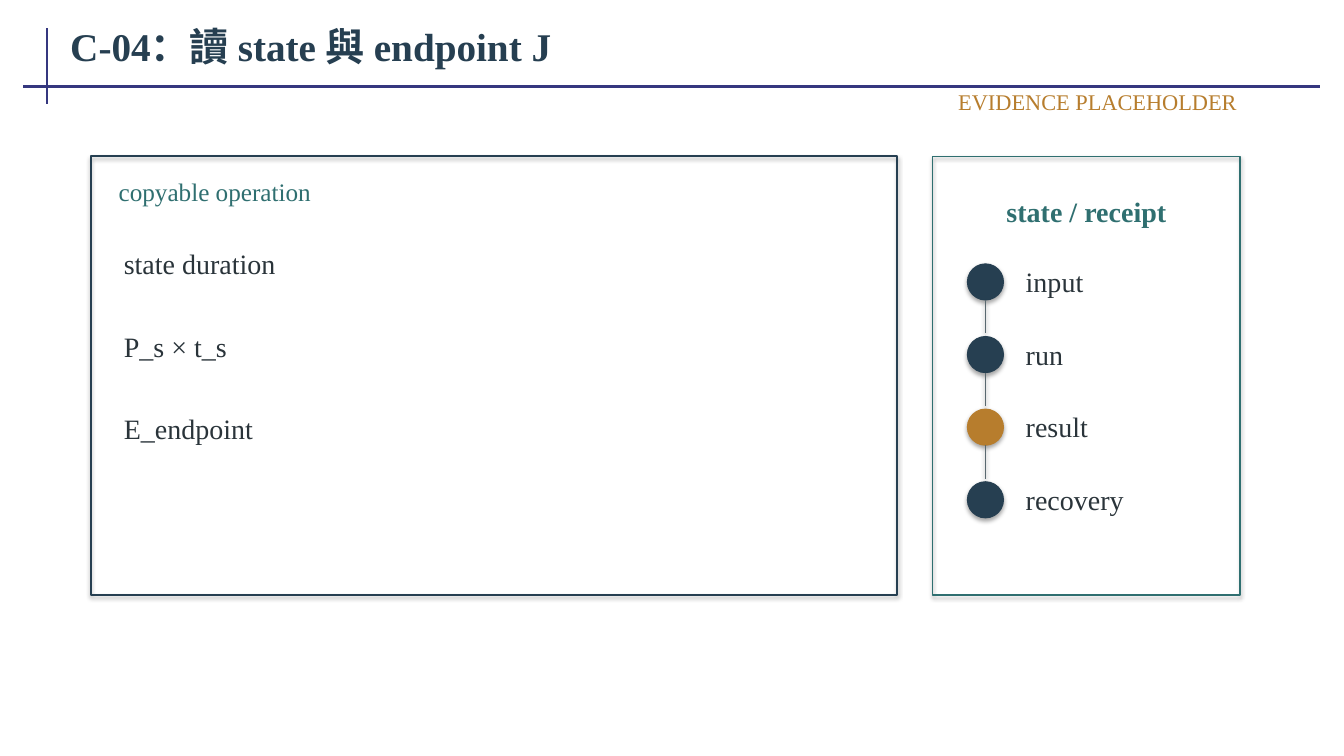
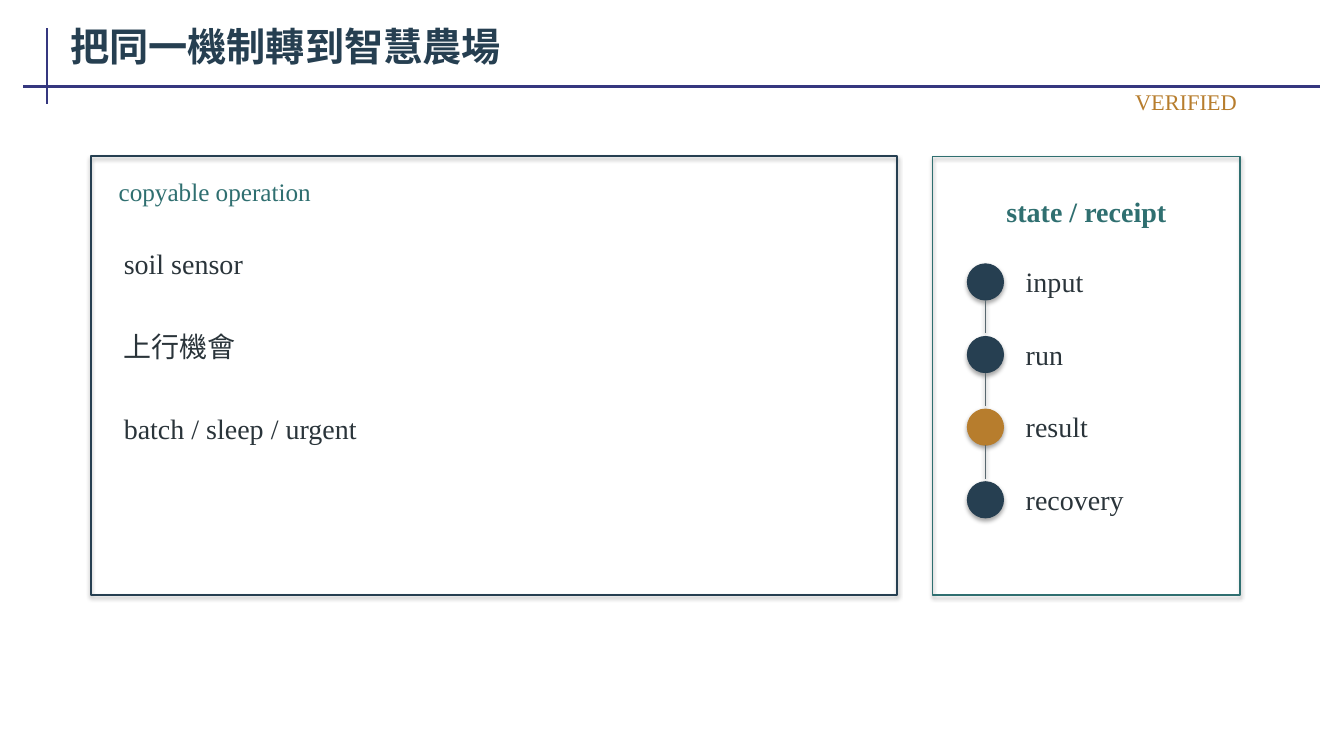
from dataclasses import dataclass

from lxml import etree
from pptx import Presentation
from pptx.dml.color import RGBColor
from pptx.enum.shapes import MSO_CONNECTOR, MSO_SHAPE
from pptx.enum.text import MSO_ANCHOR, MSO_AUTO_SIZE, PP_ALIGN
from pptx.oxml.ns import qn
from pptx.util import Cm, Pt

RECT, OVAL = MSO_SHAPE.RECTANGLE, MSO_SHAPE.OVAL
LINE = MSO_CONNECTOR.STRAIGHT
MID = MSO_ANCHOR.MIDDLE
GROW, FIXED = MSO_AUTO_SIZE.SHAPE_TO_FIT_TEXT, MSO_AUTO_SIZE.NONE
LEFT, MIDST, RIGHT = PP_ALIGN.LEFT, PP_ALIGN.CENTER, PP_ALIGN.RIGHT


@dataclass(frozen=True)
class Theme:
    face: str = "Times New Roman"
    navy: str = "263F51"
    teal: str = "2F6F70"
    gold: str = "B77D2D"
    ink: str = "2A343A"
    gray: str = "59686F"
    rule: str = "35377F"
    head: int = 28
    body: int = 20
    label: int = 18
    tag: int = 16


THEME = Theme()
STEPS = ("input", "run", "result", "recovery")
KEY = "result"
PAGES = (
    ("C-04：讀 state 與 endpoint J", "EVIDENCE PLACEHOLDER",
     ("state duration", "P_s × t_s", "E_endpoint")),
    ("把同一機制轉到智慧農場", "VERIFIED",
     ("soil sensor", "上行機會", "batch / sleep / urgent")),
)


def apply(item, form):
    for name, value in form.items():
        setattr(item, name, value)


def write(shape, text, size, color, bold=False, align=LEFT, fit=GROW):
    frame = shape.text_frame
    frame.text = text
    apply(frame, {
        "word_wrap": True, "auto_size": fit, "vertical_anchor": MID,
        "margin_left": Cm(0.2), "margin_right": Cm(0.2),
        "margin_top": Cm(0.1), "margin_bottom": Cm(0.1),
    })
    para = frame.paragraphs[0]
    para.alignment = align
    font = para.runs[0].font
    apply(font, {"name": THEME.face, "size": Pt(size), "bold": bold})
    font.color.rgb = RGBColor.from_string(color)


def add_text(slide, area, *args, **form):
    box = slide.shapes.add_textbox(*map(Cm, area))
    write(box, *args, **form)


def stroke(shape, color, width):
    shape.line.color.rgb = RGBColor.from_string(color)
    shape.line.width = Pt(width)


def add_panel(slide, area, color, width):
    panel = slide.shapes.add_shape(RECT, *map(Cm, area))
    panel.fill.background()
    stroke(panel, color, width)


def add_dot(slide, area, color):
    dot = slide.shapes.add_shape(OVAL, *map(Cm, area))
    dot.fill.solid()
    dot.fill.fore_color.rgb = RGBColor.from_string(color)
    stroke(dot, color, 0.75)


def add_line(slide, ends, color, width):
    line = slide.shapes.add_connector(LINE, *map(Cm, ends))
    stroke(line, color, width)
    return line


def add_title(slide, text):
    title = slide.shapes.title
    apply(title, {"left": Cm(1.57), "top": Cm(0.38),
                  "width": Cm(31.72), "height": Cm(1.57)})
    write(title, text, THEME.head, THEME.navy, bold=True, fit=FIXED)


def add_list(slide, items):
    add_panel(slide, (2.29, 3.94, 20.32, 11.05), THEME.navy, 1.4)
    add_text(slide, (2.79, 4.37, 19.3, 0.89), "copyable operation",
             THEME.label, THEME.teal)
    for i, item in enumerate(items):
        add_text(slide, (2.92, 5.72 + 2.08 * i, 18.67, 1.83), item,
                 THEME.body, THEME.ink)


def add_chain(slide):
    add_panel(slide, (23.5, 3.94, 7.75, 11.05), THEME.teal, 1.1)
    add_text(slide, (24.08, 4.62, 6.6, 1.4), "state / receipt",
             THEME.body, THEME.teal, bold=True, align=MIDST)
    left, side = 24.38, 0.91
    mid = left + side / 2
    for i, step in enumerate(STEPS):
        top = 6.65 + 1.83 * i
        base = top + side
        color = THEME.gold if step == KEY else THEME.navy
        add_dot(slide, (left, top, side, side), color)
        add_text(slide, (25.65, top - 0.07, 4.7, 1.02), step,
                 THEME.body, THEME.ink)
        if i < len(STEPS) - 1:
            add_line(slide, (mid, base, mid, base + 0.84), THEME.gray, 0.9)


def add_rules(slide):
    ends = ((1.19, 0.71, 1.19, 2.62), (0.58, 2.18, 33.27, 2.18))
    rules = [add_line(slide, end, THEME.rule, 1.5) for end in ends]
    for rule in rules:
        etree.SubElement(rule.element.spPr, qn("a:effectLst"))
        slide.slide_layout.shapes.element.append(rule.element)


def main():
    deck = Presentation()
    apply(deck, {"slide_width": Cm(33.87), "slide_height": Cm(19.05)})
    for title, tag, items in PAGES:
        slide = deck.slides.add_slide(deck.slide_layouts[5])
        add_title(slide, title)
        add_list(slide, items)
        add_chain(slide)
        add_text(slide, (23.24, 2.18, 8.13, 0.76), tag,
                 THEME.tag, THEME.gold, align=RIGHT)
    add_rules(slide)
    deck.save("out.pptx")


if __name__ == "__main__":
    main()
